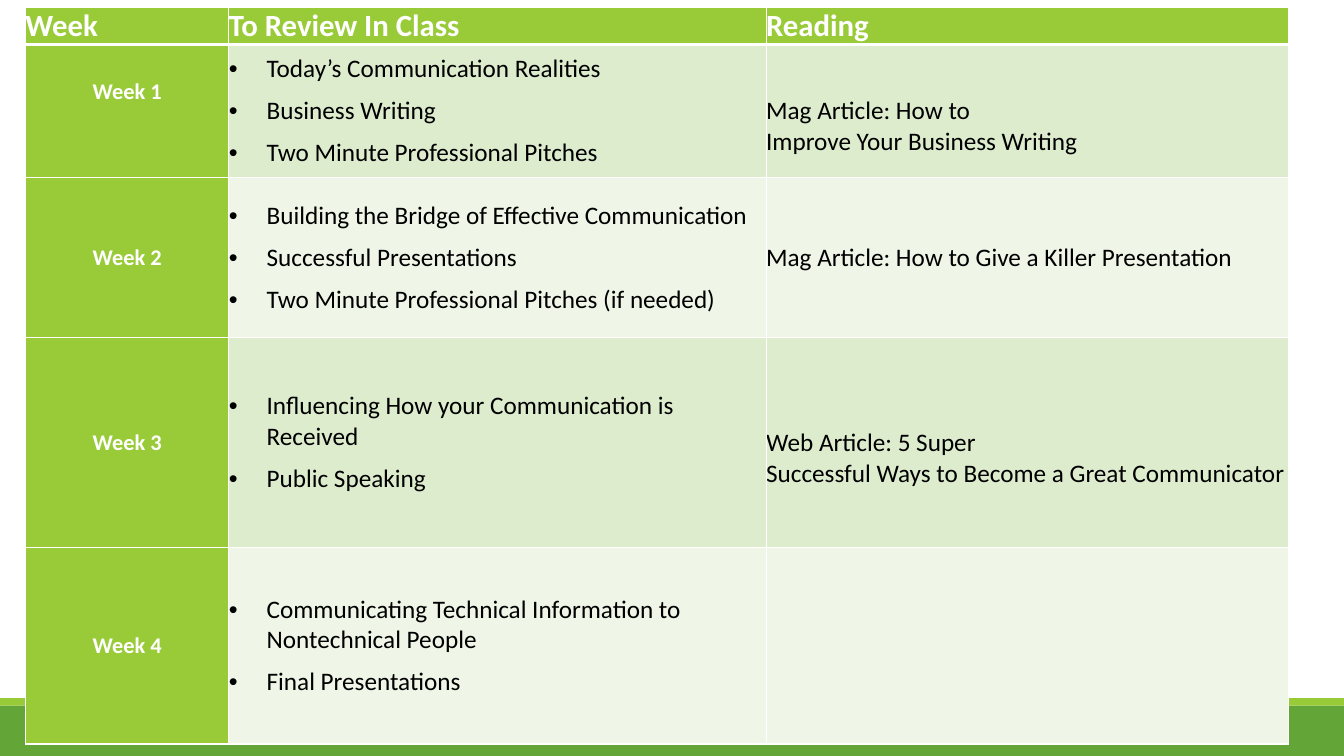
from lxml import etree
from pptx import Presentation
from pptx import util as u
from pptx.dml import color
from pptx.enum import shapes, text
from pptx.oxml import ns

COLORS = {
    "white": "FFFFFF",
    "black": "000000",
    "lime": "99CB38",
    "green": "63A537",
    "odd": "DEECCE",
    "even": "EFF6E8",
}
COLUMN_WIDTHS = [145.3, 383.8, 373.2]
ROW_HEIGHTS = [26, 95, 114.5, 149.8, 140.4]
HEADINGS = ["Week", "To Review In Class", "Reading"]
WEEKS = [
    (["Today’s Communication Realities", "Business Writing",
      "Two Minute Professional Pitches"],
     "Mag Article: How to\vImprove Your Business Writing"),
    (["Building the Bridge of Effective Communication",
      "Successful Presentations",
      "Two Minute Professional Pitches (if needed)"],
     "Mag Article: How to Give a Killer Presentation"),
    (["Influencing How your Communication is Received", "Public Speaking"],
     "Web Article: 5 Super\vSuccessful Ways to Become a Great Communicator"),
    (["Communicating Technical Information to Nontechnical People",
      "Final Presentations"], ""),
]


def rgb(name):
    return color.RGBColor.from_string(COLORS[name])


def add_band(page, top, height, fill):
    band = page.shapes.add_shape(shapes.MSO_SHAPE.RECTANGLE, 0, u.Pt(top),
                                 u.Pt(960), u.Pt(height))
    band.shadow.inherit = False
    band.fill.solid()
    band.fill.fore_color.rgb = rgb(fill)
    band.line.fill.background()


def add_borders(cell, top, bottom):
    properties = cell._tc.get_or_add_tcPr()
    widths = {"a:lnL": 1, "a:lnR": 1, "a:lnT": top, "a:lnB": bottom}
    for index, (tag, width) in enumerate(widths.items()):
        line = etree.Element(ns.qn(tag), w=str(u.Pt(width)))
        fill = etree.SubElement(line, ns.qn("a:solidFill"))
        etree.SubElement(fill, ns.qn("a:srgbClr"), val=COLORS["white"])
        properties.insert(index, line)


def add_bullet(para):
    properties = para._p.get_or_add_pPr()
    properties.set("marL", str(u.Pt(27)))
    properties.set("indent", str(u.Pt(-27)))
    etree.SubElement(properties, ns.qn("a:buFont"), typeface="Arial")
    etree.SubElement(properties, ns.qn("a:buChar"), char="•")


def fill_cell(cell, lines, fill, size=18, ink="black", bold=False,
              centred=False, bullets=False, above=0, below=0):
    cell.fill.solid()
    cell.fill.fore_color.rgb = rgb(fill)
    cell.vertical_anchor = text.MSO_ANCHOR.MIDDLE
    cell.margin_left = cell.margin_right = 0
    cell.margin_top, cell.margin_bottom = u.Pt(above), u.Pt(below)
    frame = cell.text_frame
    for index, line in enumerate(lines):
        para = frame.add_paragraph() if index else frame.paragraphs[0]
        para.text = line
        if bullets:
            add_bullet(para)
        para.space_before = u.Pt(8 if index else 0)
        para.alignment = text.PP_ALIGN.CENTER if centred else text.PP_ALIGN.LEFT
        para.font.name = "Calibri"
        para.font.size = u.Pt(size)
        para.font.bold = bold
        para.font.color.rgb = rgb(ink)


def add_schedule(page):
    frame = page.shapes.add_table(
        len(ROW_HEIGHTS), len(COLUMN_WIDTHS), u.Pt(18.2), u.Pt(5),
        u.Pt(sum(COLUMN_WIDTHS)), u.Pt(sum(ROW_HEIGHTS)))
    table = frame.table
    for column, width in zip(table.columns, COLUMN_WIDTHS):
        column.width = u.Pt(width)
    for row, height in zip(table.rows, ROW_HEIGHTS):
        row.height = u.Pt(height)

    for column, heading in enumerate(HEADINGS):
        fill_cell(table.cell(0, column), [heading], "lime", 22, "white", True)
    for week, (topics, reading) in enumerate(WEEKS, 1):
        shade = "odd" if week % 2 else "even"
        fill_cell(table.cell(week, 0), [f"Week {week}"], "lime", 16, "white",
                  True, centred=True, below=27 if week == 1 else 0)
        fill_cell(table.cell(week, 1), topics, shade, bullets=True)
        fill_cell(table.cell(week, 2), [reading], shade,
                  above=22 if "\v" in reading else 0)

    for index, row in enumerate(table.rows):
        for cell in row.cells:
            add_borders(cell, top=3 if index == 1 else 1,
                        bottom=3 if index == 0 else 1)


def main():
    deck = Presentation()
    deck.slide_width, deck.slide_height = u.Pt(960), u.Pt(540)
    page = deck.slides.add_slide(deck.slide_layouts[6])
    add_band(page, 504, 36, "green")
    add_band(page, 498.7, 5.3, "lime")
    add_schedule(page)
    deck.save("out.pptx")


if __name__ == "__main__":
    main()
